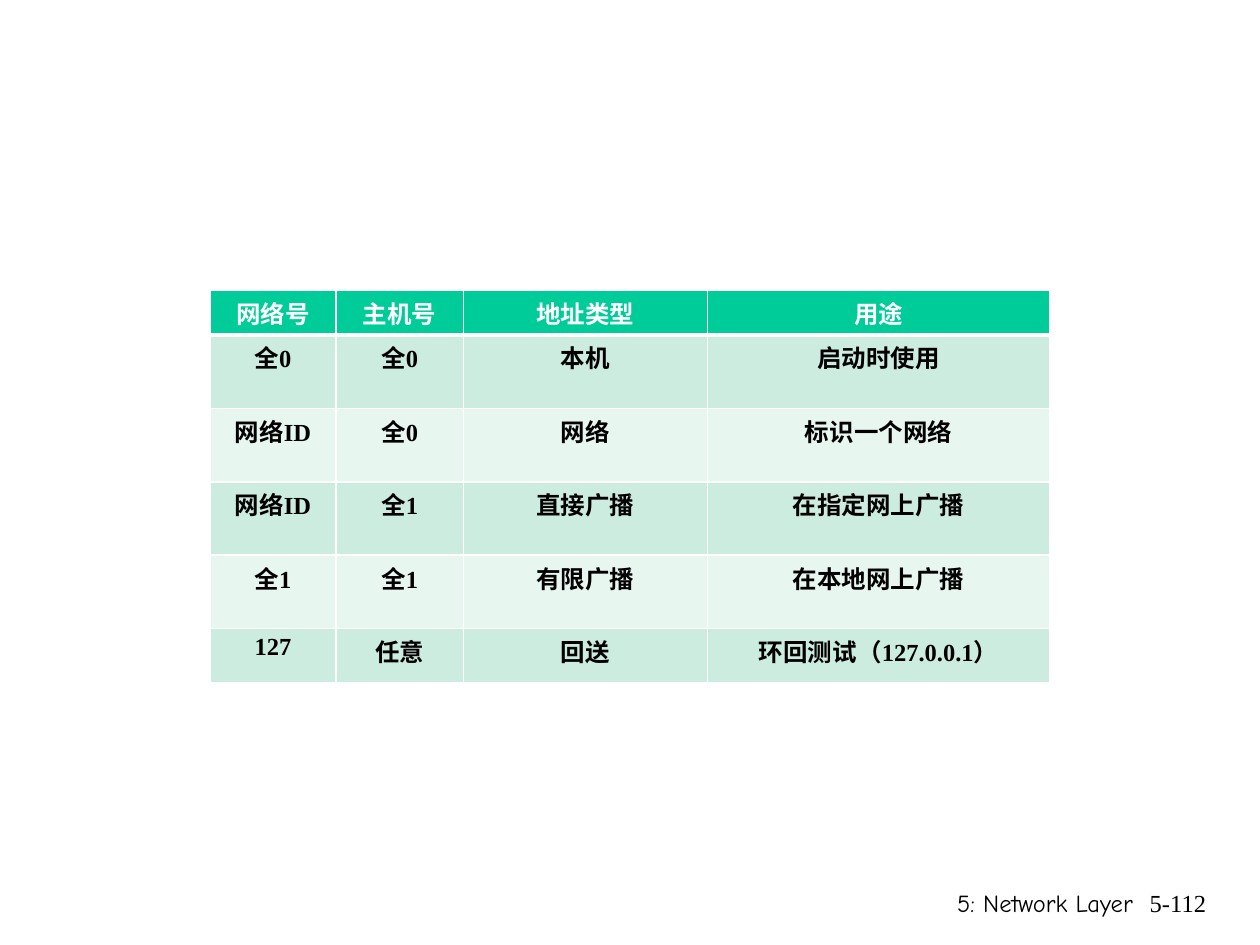
from lxml.etree import SubElement
from pptx import Presentation
from pptx.dml.color import RGBColor
from pptx.enum.text import PP_ALIGN as Align
from pptx.oxml.ns import qn
from pptx.util import Pt

ADDRESSES = [
    ("网络号", "主机号", "地址类型", "用途"),
    ("全0", "全0", "本机", "启动时使用"),
    ("网络ID", "全0", "网络", "标识一个网络"),
    ("网络ID", "全1", "直接广播", "在指定网上广播"),
    ("全1", "全1", "有限广播", "在本地网上广播"),
    ("127", "任意", "回送", "环回测试（127.0.0.1）"),
]
COLUMN_WIDTHS = [72, 72.75, 139.5, 195.75]
ROW_HEIGHTS = [25.2, 42, 42, 42, 42, 31]
FOOTERS = [
    ("5: Network Layer", "Comic Neue", 426, 228.5),
    ("5-112", "Times New Roman", 643, 53.25),
]
COLORS = {
    "header": "00CC99",
    "odd": "CBECDE",
    "even": "E7F6EF",
    "rule": "FFFFFF",
    "header_text": "FFFFFF",
    "text": "000000",
}


def style(paragraph, face, color, align, bold=False):
    """Format one paragraph."""
    paragraph.alignment = align
    font = paragraph.font
    font.name, font.size, font.bold = face, Pt(14), bold
    font.color.rgb = RGBColor.from_string(COLORS[color])


def add_border(cell, side, width):
    """Draw one solid cell border."""
    line = SubElement(cell._tc.get_or_add_tcPr(), qn(f"a:{side}"), w=str(Pt(width)))
    fill = SubElement(line, qn("a:solidFill"))
    SubElement(fill, qn("a:srgbClr"), val=COLORS["rule"])


def fill_cell(cell, text, row):
    """Write and format one address cell."""
    cell.margin_left = cell.margin_right = Pt(5.2)
    cell.margin_top = cell.margin_bottom = Pt(2.6)
    cell.text = text
    color = "text" if row else "header_text"
    style(cell.text_frame.paragraphs[0], "Times New Roman", color, Align.CENTER, True)
    for side in ("lnL", "lnR", "lnT", "lnB"):
        under_header = (row, side) in [(0, "lnB"), (1, "lnT")]
        add_border(cell, side, 3 if under_header else 1)
    band = "header" if row == 0 else "odd" if row % 2 else "even"
    cell.fill.solid()
    cell.fill.fore_color.rgb = RGBColor.from_string(COLORS[band])


def main():
    """Build the special address slide."""
    deck = Presentation()
    deck.slide_width, deck.slide_height = Pt(720), Pt(540)
    slide = deck.slides.add_slide(deck.slide_layouts[6])

    addresses = slide.shapes.add_table(
        len(ADDRESSES), len(COLUMN_WIDTHS), Pt(120), Pt(165.75),
        Pt(sum(COLUMN_WIDTHS)), Pt(sum(ROW_HEIGHTS)),
    ).table
    for column, width in zip(addresses.columns, COLUMN_WIDTHS):
        column.width = Pt(width)
    for row, (texts, height) in enumerate(zip(ADDRESSES, ROW_HEIGHTS)):
        addresses.rows[row].height = Pt(height)
        for column, text in enumerate(texts):
            fill_cell(addresses.cell(row, column), text, row)

    for text, face, left, width in FOOTERS:
        footer = slide.shapes.add_textbox(Pt(left), Pt(504), Pt(width), Pt(36)).text_frame
        footer.word_wrap = True
        footer.text = text
        style(footer.paragraphs[0], face, "text", Align.RIGHT)

    deck.save("out.pptx")


if __name__ == "__main__":
    main()
